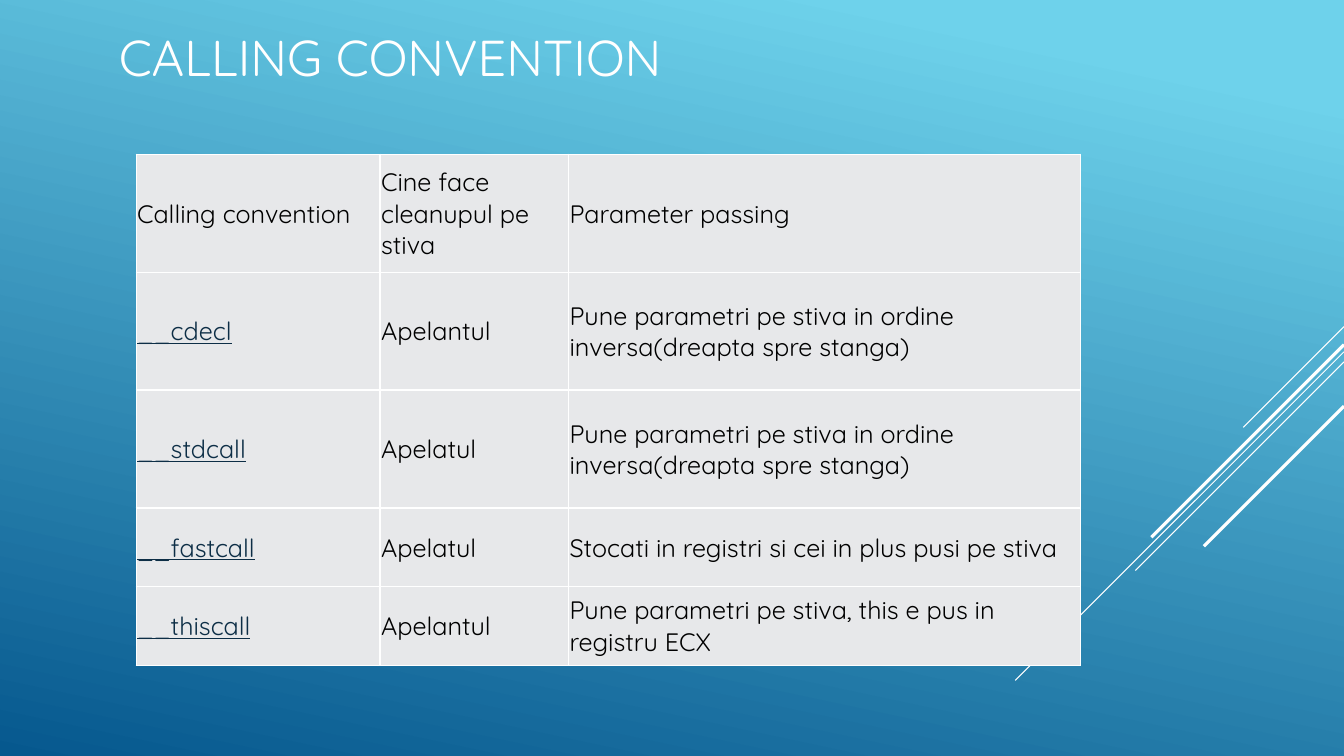
from dataclasses import dataclass

from lxml.etree import SubElement
from pptx import Presentation
from pptx.dml.color import RGBColor as RGB
from pptx.enum.shapes import MSO_CONNECTOR as CONNECTOR
from pptx.enum.text import MSO_ANCHOR as ANCHOR
from pptx.oxml.ns import qn
from pptx.slide import Slide
from pptx.table import _Cell as Cell
from pptx.text.text import TextFrame
from pptx.util import Inches, Pt


@dataclass(frozen=True)
class Theme:
    """Colours, font and type sizes of the slide."""
    font: str = "Quicksand"
    sky: RGB = RGB.from_string("6ED2EB")
    deep: RGB = RGB.from_string("06588E")
    white: RGB = RGB.from_string("FFFFFF")
    black: RGB = RGB.from_string("000000")
    keyword: RGB = RGB.from_string("0D2E46")
    cell: RGB = RGB.from_string("E7E8EA")
    title_size: int = 36
    table_size: int = 18
    border: float = 1


@dataclass(frozen=True)
class Streak:
    """A 45-degree line falling leftwards from the right edge, in inches."""
    top: float
    run: float
    width: float = 0.75


@dataclass(frozen=True)
class Convention:
    """One table row: calling convention, who cleans up, parameter passing."""
    name: str
    cleanup: str
    passing: str
    height: float
    is_header: bool = False


THEME = Theme()
SLIDE_W, SLIDE_H = 13.33, 7.5
STREAKS = [
    Streak(3.24, 1.0),
    Streak(3.49, 3.26),
    Streak(3.59, 2.07),
    Streak(3.42, 1.91, 2.25),
    Streak(4.03, 1.39, 2.25),
]
TALL, SHORT = 1.17, 0.78
REVERSED = "Pune parametri pe stiva in ordine inversa(dreapta spre stanga)"
ROWS = [
    Convention("Calling convention", "Cine face cleanupul pe stiva",
               "Parameter passing", TALL, is_header=True),
    Convention("__cdecl", "Apelantul", REVERSED, TALL),
    Convention("__stdcall", "Apelatul", REVERSED, TALL),
    Convention("__fastcall", "Apelatul",
               "Stocati in registri si cei in plus pusi pe stiva", SHORT),
    Convention("__thiscall", "Apelantul",
               "Pune parametri pe stiva, this e pus in registru ECX", SHORT),
]
COL_WIDTHS = [2.42, 1.87, 5.08]


def paint_background(s: Slide) -> None:
    """Fill the background with the sky-to-deep gradient."""
    fill = s.background.fill
    fill.gradient()
    fill.gradient_angle = 360 - 102
    stops = [(0.1, THEME.sky), (1, THEME.deep)]
    for stop, (position, color) in zip(fill.gradient_stops, stops):
        stop.position = position
        stop.color.rgb = color


def add_streak(s: Slide, streak: Streak) -> None:
    """Draw one diagonal streak."""
    line = s.shapes.add_connector(
        CONNECTOR.STRAIGHT, Inches(SLIDE_W), Inches(streak.top),
        Inches(SLIDE_W - streak.run), Inches(streak.top + streak.run))
    line.line.color.rgb = THEME.white
    line.line.width = Pt(streak.width)
    SubElement(line._element.spPr, qn("a:effectLst"))


def add_text(tf: TextFrame, text: str, size: int, color: RGB,
             underline: bool = False) -> None:
    """Write one run into the first paragraph of a text frame."""
    tf.word_wrap = True
    r = tf.paragraphs[0].add_run()
    r.text = text
    r.font.name = THEME.font
    r.font.size = Pt(size)
    r.font.color.rgb = color
    r.font.underline = underline


def add_title(s: Slide, text: str) -> None:
    """Add the slide title."""
    sp = s.shapes.add_textbox(Inches(1.08), Inches(0.15), Inches(11.74), Inches(0.82))
    sp.text_frame.vertical_anchor = ANCHOR.MIDDLE
    add_text(sp.text_frame, text, THEME.title_size, THEME.white)


def style_cell(cell: Cell) -> None:
    """Set borders, fill, margins and anchor of a table cell."""
    tc_pr = cell._tc.get_or_add_tcPr()
    for side in ("a:lnL", "a:lnR", "a:lnT", "a:lnB"):
        ln = SubElement(tc_pr, qn(side), w=str(Pt(THEME.border)))
        fill = SubElement(ln, qn("a:solidFill"))
        SubElement(fill, qn("a:srgbClr"), val=str(THEME.white))
    cell.fill.solid()
    cell.fill.fore_color.rgb = THEME.cell
    cell.margin_left = cell.margin_right = cell.margin_top = Inches(0.01)
    cell.margin_bottom = Inches(0)
    cell.vertical_anchor = ANCHOR.MIDDLE


def add_conventions(s: Slide, rows: list[Convention]) -> None:
    """Add the table of calling conventions."""
    table = s.shapes.add_table(
        len(rows), len(COL_WIDTHS), Inches(1.35), Inches(1.53),
        Inches(sum(COL_WIDTHS)), Inches(sum(row.height for row in rows))).table
    table.first_row = table.horz_banding = False
    for column, width in zip(table.columns, COL_WIDTHS):
        column.width = Inches(width)
    for i, row in enumerate(rows):
        table.rows[i].height = Inches(row.height)
        for j, text in enumerate((row.name, row.cleanup, row.passing)):
            cell = table.cell(i, j)
            style_cell(cell)
            is_keyword = j == 0 and not row.is_header
            color = THEME.keyword if is_keyword else THEME.black
            add_text(cell.text_frame, text, THEME.table_size, color, is_keyword)


def main() -> None:
    """Build and save the slide."""
    prs = Presentation()
    prs.slide_width, prs.slide_height = Inches(SLIDE_W), Inches(SLIDE_H)
    s = prs.slides.add_slide(prs.slide_layouts[6])
    paint_background(s)
    for streak in STREAKS:
        add_streak(s, streak)
    add_title(s, "CALLING CONVENTION")
    add_conventions(s, ROWS)
    prs.save("out.pptx")


main()
